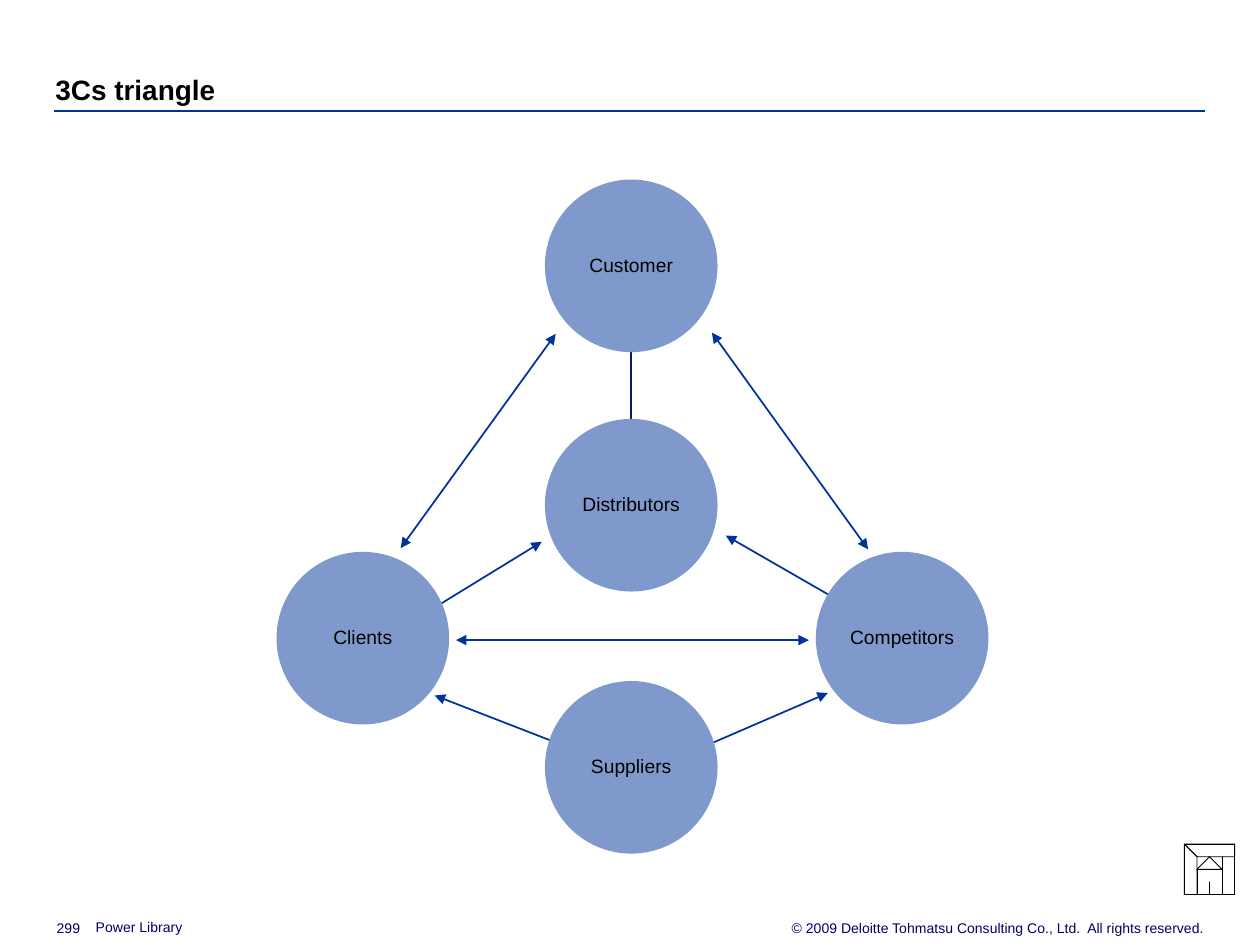
from pptx import Presentation
from pptx.dml.color import RGBColor
from pptx.enum.shapes import MSO_CONNECTOR, MSO_SHAPE
from pptx.enum.text import MSO_ANCHOR, PP_ALIGN
from pptx.oxml.ns import qn
from pptx.util import Pt
from lxml.etree import SubElement

BLACK = RGBColor(0x00, 0x00, 0x00)
BLUE = RGBColor(0x00, 0x33, 0x99)
NAVY = RGBColor(0x09, 0x1D, 0x5D)
FOOTER_BLUE = RGBColor(0x00, 0x00, 0x66)
CIRCLE_BLUE = RGBColor(0x80, 0x99, 0xCC)

COLUMNS, ROWS = 100, 75  # square cells

deck = Presentation()
deck.slide_width, deck.slide_height = Pt(720), Pt(540)
CELL = deck.slide_width // COLUMNS
slide = deck.slides.add_slide(deck.slide_layouts[5])
shapes = slide.shapes


def write(holder, text, size, color, align=PP_ALIGN.LEFT, anchor=MSO_ANCHOR.BOTTOM,
          wrap=True, bold=False):
    frame = holder.text_frame
    frame.text = text
    frame.word_wrap = wrap
    frame.vertical_anchor = anchor
    frame.margin_left = frame.margin_right = frame.margin_top = frame.margin_bottom = 0
    paragraph = frame.paragraphs[0]
    paragraph.alignment = align
    font = paragraph.runs[0].font
    font.name, font.size, font.bold = "Arial", Pt(size), bold
    font.color.rgb = color
    return paragraph


def connect(start, end, color=BLUE, width=1, arrows=()):
    """Draw a line between two grid points; arrows lists headEnd (start) and tailEnd (end)."""
    points = [round(value * CELL) for value in (*start, *end)]
    link = shapes.add_connector(MSO_CONNECTOR.STRAIGHT, *points)
    link.line.color.rgb = color
    link.line.width = Pt(width)
    properties = link._element.spPr
    SubElement(properties, qn("a:effectLst"))
    for arrow in arrows:
        SubElement(properties.find(qn("a:ln")), qn(f"a:{arrow}"), type="triangle")


# Title and rule
title = shapes.title
title.left, title.top, title.width, title.height = (
    round(value * CELL) for value in (4.4, 5.6, 91.3, 2.8))
write(title, "3Cs triangle", 16, BLACK, bold=True).line_spacing = 1.06
connect((4.3, 8.8), (95.6, 8.8), width=1.5)

# Footer
footer = [
    ("© 2009 Deloitte Tohmatsu Consulting Co., Ltd.  All rights reserved.",
     57.6, 73, 38, PP_ALIGN.RIGHT),
    ("Power Library", 7.6, 72.9, 44.2, PP_ALIGN.LEFT),
    ("299", 4.5, 73, 3.2, PP_ALIGN.LEFT),
]
for text, left, top, width, align in footer:
    box = shapes.add_textbox(*(round(value * CELL) for value in (left, top, width, 1.3)))
    write(box, text, 8, FOOTER_BLUE, align)

# Home button: a bevelled frame around a house
outer = [(94.3, 67.4), (98, 67.4), (98, 71.4), (94.3, 71.4)]
inner = [(94.6, 67.7), (97.7, 67.7), (97.7, 71.1), (94.6, 71.1)]
bevels = [[outer[i], outer[(i + 1) % 4], inner[(i + 1) % 4], inner[i]] for i in range(4)]
roof = [(96.2, 68.2), (97.3, 69.4), (95, 69.4)]
walls = [(95.3, 69.4), (97.1, 69.4), (97.1, 70.6), (95.3, 70.6)]
chimney = [(96.6, 68.7), (96.6, 68.4), (96.9, 68.4), (96.9, 69)]
door = [(96, 70), (96.3, 70), (96.3, 70.6), (96, 70.6)]
builder = shapes.build_freeform(*outer[0], scale=CELL)
builder.add_line_segments(outer[1:])
for outline in [*bevels, roof, walls, chimney, door]:
    builder.move_to(*outline[0])
    builder.add_line_segments(outline[1:])
home = builder.convert_to_shape()
home.shadow.inherit = False
home.fill.background()
home.line.color.rgb = BLACK
home.line.width = Pt(0.5)

# Relations, drawn beneath the circles
BOTH, TO_END = ("headEnd", "tailEnd"), ("tailEnd",)
connect((50.1, 20.7), (50.1, 38.1), NAVY)
relations = [
    ((47.9, 60.4), (34.5, 55.2), TO_END),  # suppliers to clients
    ((51.6, 61.1), (65.7, 55), TO_END),  # suppliers to competitors
    ((29.8, 51.1), (43, 43), TO_END),  # clients to distributors
    ((71.5, 50.5), (57.6, 42.5), TO_END),  # competitors to distributors
    ((44.1, 26.5), (31.8, 43.5), BOTH),  # customer and clients
    ((56.5, 26.4), (68.9, 43.6), BOTH),  # customer and competitors
    ((64.2, 50.8), (36.2, 50.8), BOTH),  # competitors and clients
]
for start, end, arrows in relations:
    connect(start, end, arrows=arrows)

# Parties, placed by their centres
DIAMETER = 13.7
parties = [("Customer", 50.1, 21.1), ("Clients", 28.8, 50.65), ("Distributors", 50.1, 40.1),
           ("Competitors", 71.6, 50.65), ("Suppliers", 50.1, 60.9)]
for party, center_x, center_y in parties:
    circle = shapes.add_shape(MSO_SHAPE.OVAL, *(round(value * CELL) for value in (
        center_x - DIAMETER / 2, center_y - DIAMETER / 2, DIAMETER, DIAMETER)))
    circle.shadow.inherit = False
    circle.fill.solid()
    circle.fill.fore_color.rgb = CIRCLE_BLUE
    circle.line.fill.background()
    label = write(circle, party, 11, BLACK, PP_ALIGN.CENTER, MSO_ANCHOR.MIDDLE, wrap=False)
    label.line_spacing = 0.95

deck.save("out.pptx")
